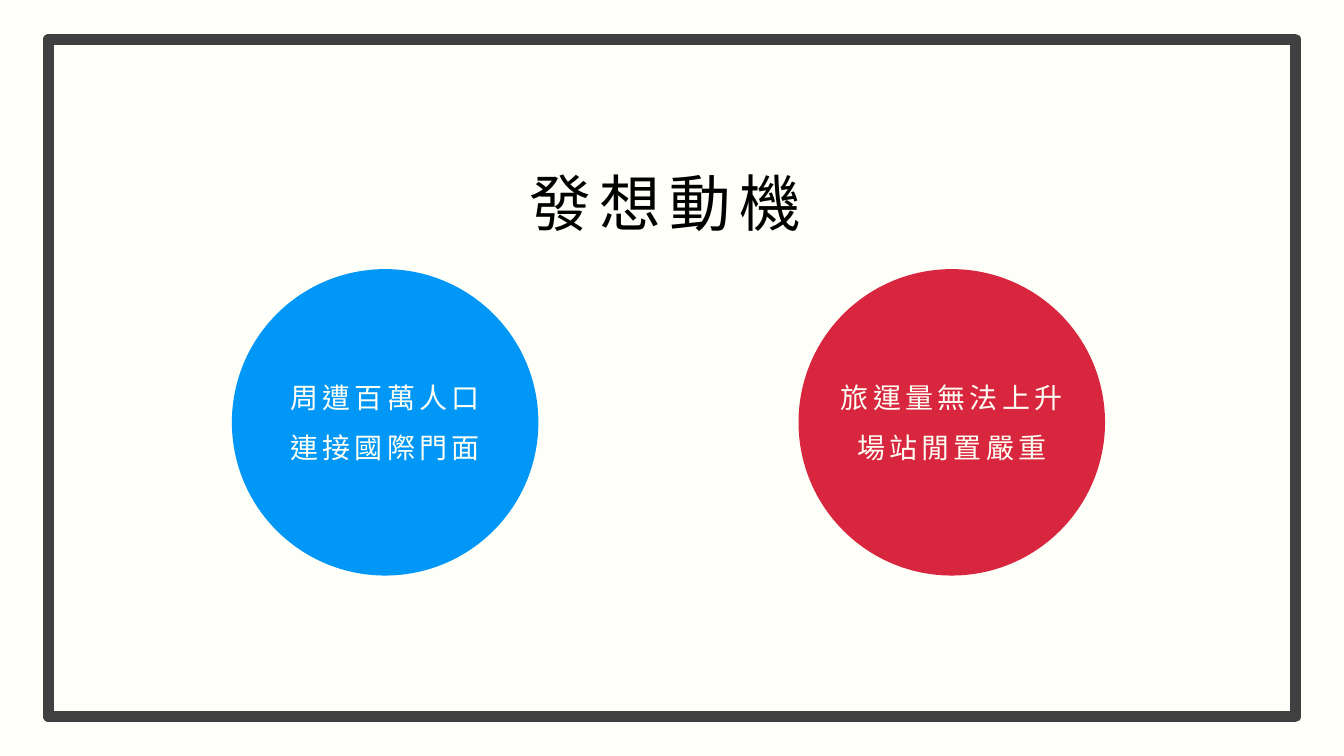
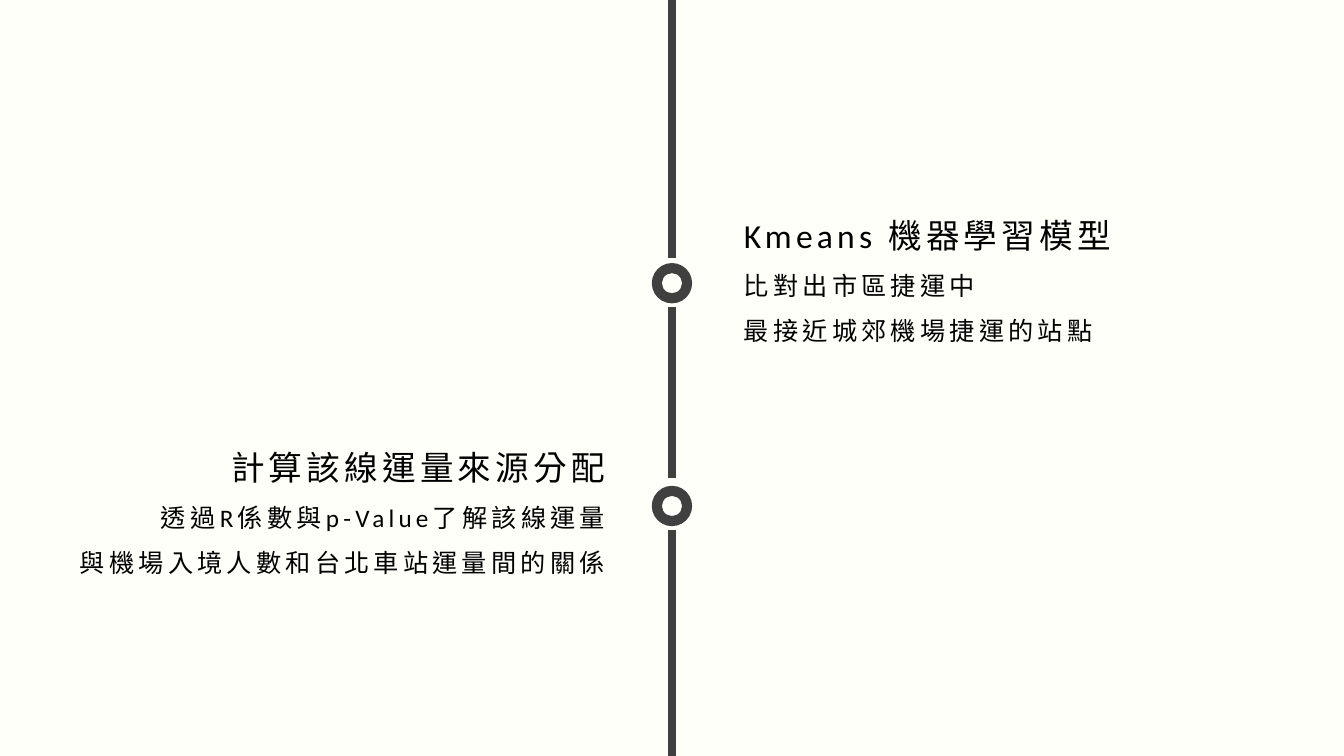
from dataclasses import dataclass

import pptx
import pptx.dml.color
import pptx.enum.shapes
import pptx.enum.text
import pptx.oxml.ns
import pptx.util
from lxml import etree

ALIGN = pptx.enum.text.PP_ALIGN
ANCHOR = pptx.enum.text.MSO_ANCHOR
SHAPE = pptx.enum.shapes.MSO_SHAPE

WIDTH, HEIGHT = 13.33, 7.5
CENTER = WIDTH / 2
FONT = "Calibri"
COLORS = {
    "paper": "FFFFF9",
    "light": "FFFFF6",
    "ink": "000000",
    "dark": "404040",
    "blue": "0197F6",
    "red": "D7263D",
}


@dataclass(frozen=True)
class TextStyle:
    size: float
    spacing: float
    color: str = "ink"


@dataclass(frozen=True)
class Reason:
    left: float
    color: str
    lines: tuple[str, ...]


@dataclass(frozen=True)
class Step:
    left: float
    top: float
    width: float
    align: ALIGN
    heading: str
    details: tuple[str, ...]


TITLE = TextStyle(44, 6)
REASON = TextStyle(20, 3, "light")
HEADING = TextStyle(24, 3)
DETAIL = TextStyle(18, 3)

CIRCLE = 3.04
CIRCLE_TOP = 2.67
REASONS = (
    Reason(2.3, "blue", ("周遭百萬人口", "連接國際門面")),
    Reason(7.92, "red", ("旅運量無法上升", "場站閒置嚴重")),
)

RING = 0.4
RING_TOPS = (2.61, 4.82)
SEGMENTS = ((0, 2.56), (3.05, 4.74), (5.26, HEIGHT))
STEP_HEIGHT = 1.62
STEPS = (
    Step(7.28, 1.88, 4.23, ALIGN.LEFT, "Kmeans 機器學習模型",
         ("比對出市區捷運中", "最接近城郊機場捷運的站點")),
    Step(0.58, 4.18, 5.52, ALIGN.RIGHT, "計算該線運量來源分配",
         ("透過R係數與p-Value了解該線運量", "與機場入境人數和台北車站運量間的關係")),
)


def rgb(name: str) -> pptx.dml.color.RGBColor:
    return pptx.dml.color.RGBColor.from_string(COLORS[name])


def box(left: float, top: float, width: float, height: float) -> list[pptx.util.Length]:
    return [pptx.util.Inches(v) for v in (left, top, width, height)]


def format_runs(p, style: TextStyle, align: ALIGN, line_spacing: float = 1) -> None:
    p.alignment = align
    p.line_spacing = line_spacing
    for r in p.runs:
        r.font.name = FONT
        r.font.size = pptx.util.Pt(style.size)
        r.font.color.rgb = rgb(style.color)
        rpr = r._r.get_or_add_rPr()
        rpr.set("lang", "zh-TW")
        rpr.set("spc", str(round(style.spacing * 100)))


def add_solid(s, kind: SHAPE, area: list[pptx.util.Length], color: str):
    sp = s.shapes.add_shape(kind, *area)
    sp.shadow.inherit = False
    sp.fill.solid()
    sp.fill.fore_color.rgb = rgb(color)
    sp.line.fill.background()
    return sp


def add_frame(s) -> None:
    sp = s.shapes.add_shape(SHAPE.RECTANGLE, *box(0.48, 0.39, 12.37, 6.72))
    sp.shadow.inherit = False
    sp.fill.background()
    sp.line.color.rgb = rgb("dark")
    sp.line.width = pptx.util.Pt(7.75)


def add_title(s, text: str) -> None:
    sp = s.shapes.title
    sp.left, sp.top, sp.width, sp.height = box(5.15, 0.85, 3.03, 1.58)
    tf = sp.text_frame
    tf.text = text
    tf.auto_size = pptx.enum.text.MSO_AUTO_SIZE.NONE
    tf.vertical_anchor = ANCHOR.TOP
    tf.word_wrap = False
    format_runs(tf.paragraphs[0], TITLE, ALIGN.LEFT, 2)


def add_reason(s, reason: Reason) -> None:
    sp = add_solid(s, SHAPE.OVAL, box(reason.left, CIRCLE_TOP, CIRCLE, CIRCLE), reason.color)
    tf = sp.text_frame
    tf.text = "\n".join(reason.lines)
    tf.word_wrap = False
    tf.vertical_anchor = ANCHOR.MIDDLE
    for i, p in enumerate(tf.paragraphs):
        format_runs(p, REASON, ALIGN.CENTER)
        if i:
            p.space_before = pptx.util.Pt(12)


def add_segment(s, top: float, bottom: float) -> None:
    cxn = s.shapes.add_connector(
        pptx.enum.shapes.MSO_CONNECTOR.STRAIGHT, *box(CENTER, top, CENTER, bottom))
    cxn.line.color.rgb = rgb("dark")
    cxn.line.width = pptx.util.Pt(6)
    etree.SubElement(cxn._element.spPr, pptx.oxml.ns.qn("a:effectLst"))


def add_step(s, step: Step) -> None:
    sp = s.shapes.add_textbox(*box(step.left, step.top, step.width, STEP_HEIGHT))
    tf = sp.text_frame
    tf.word_wrap = True
    tf.text = "\n".join((step.heading, *step.details))
    for i, p in enumerate(tf.paragraphs):
        format_runs(p, DETAIL if i else HEADING, step.align, 1.5)


def build_motivation(prs) -> None:
    s = prs.slides.add_slide(prs.slide_layouts[5])
    add_title(s, "發想動機")
    for reason in REASONS:
        add_reason(s, reason)
    add_frame(s)


def build_timeline(prs) -> None:
    s = prs.slides.add_slide(prs.slide_layouts[6])
    for top, bottom in SEGMENTS:
        add_segment(s, top, bottom)
    for top in RING_TOPS:
        add_solid(s, SHAPE.DONUT, box(CENTER - RING / 2, top, RING, RING), "dark")
    for step in STEPS:
        add_step(s, step)


def main() -> None:
    prs = pptx.Presentation()
    prs.slide_width = pptx.util.Inches(WIDTH)
    prs.slide_height = pptx.util.Inches(HEIGHT)
    fill = prs.slide_master.background.fill
    fill.solid()
    fill.fore_color.rgb = rgb("paper")
    build_motivation(prs)
    build_timeline(prs)
    prs.save("out.pptx")


if __name__ == "__main__":
    main()
